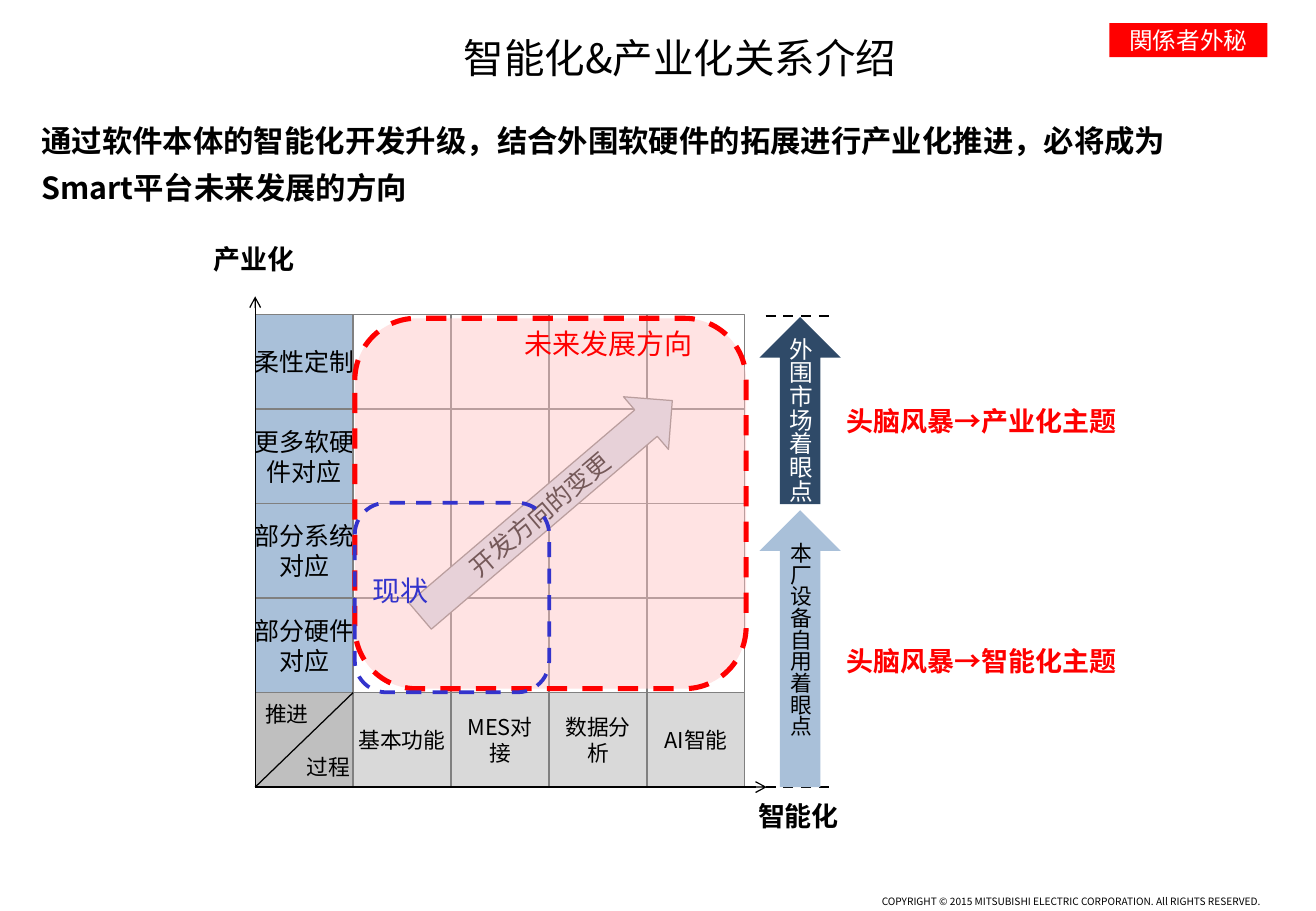
from lxml import etree
from pptx import Presentation
from pptx.dml.color import RGBColor
from pptx.enum.dml import MSO_LINE
from pptx.enum.shapes import MSO_CONNECTOR, MSO_SHAPE as Kind
from pptx.enum.text import MSO_ANCHOR as Anchor, MSO_AUTO_SIZE as Fit, PP_ALIGN as Align
from pptx.oxml.ns import qn
from pptx.util import Inches, Pt

# Content
SC, JP = "Noto Sans CJK SC", "Noto Sans CJK JP"
TITLE = "智能化&产业化关系介绍"
LEAD = "通过软件本体的智能化开发升级，结合外围软硬件的拓展进行产业化推进，必将成为\nSmart平台未来发展的方向"
SECRET = "関係者外秘"
RIGHTS = "COPYRIGHT © 2015 MITSUBISHI ELECTRIC CORPORATION. All RIGHTS RESERVED."
ROWS = ["柔性定制", "更多软硬\n件对应", "部分系统\n对应", "部分硬件\n对应"]
COLS = ["基本功能", "MES对接", "数据分析", "AI智能"]

# Matrix edges
LEFT, TOP, RIGHT, BASE = 2.1, 2.59, 6.13, 6.48
WIDE = (RIGHT - LEFT) / (len(COLS) + 1)
HIGH = (BASE - TOP) / (len(ROWS) + 1)

# Text labels: text, box, format
CORNER = [("推进", (2.06, 5.71, 0.6, 0.33)), ("过程", (2.5, 6.15, 0.41, 0.33))]
AXES = [("智能化", (6.14, 6.53, 0.88, 0.37)), ("产业化", (1.66, 1.95, 0.88, 0.37))]
THEMES = [("头脑风暴→智能化主题", (6.93, 4.94, 1, 1)),
          ("头脑风暴→产业化主题", (6.93, 2.96, 1, 1))]
# Zones: label, label box, frame box, colour, line width, fill
ZONES = [
    ("未来发展方向", (4.21, 2.64, 1.6, 0.38), (2.92, 2.62, 3.22, 3.05), "FF0000", 3, "FFC2C2"),
    ("现状", (2.96, 4.67, 0.67, 0.38), (2.92, 4.14, 1.6, 1.56), "3333CC", 2.25, None),
]
# Viewpoint arrows: text, box, fill, text colour, size, inset
VIEWS = [
    ("外围市场着眼点", (6.25, 2.61, 0.67, 1.54), "2F4A68", "FFFFFF", 14, (0, 0)),
    ("本厂设备自用着眼点", (6.25, 4.2, 0.67, 2.28), "A9C0D9", "000000", 12.9, (0.1, 0.05)),
]

deck = Presentation()
deck.slide_width, deck.slide_height = Inches(10.83), Inches(7.5)
slide = deck.slides.add_slide(deck.slide_layouts[5])
shapes = slide.shapes


def rgb(code):
    return RGBColor.from_string(code)


def write(shape, text, size=14.8, color="000000", bold=False, font=SC, align=Align.CENTER,
          anchor=Anchor.MIDDLE, wrap=False, inset=(0.1, 0.05), gap=0):
    frame = shape.text_frame
    frame.auto_size, frame.word_wrap = Fit.NONE, wrap
    frame.vertical_anchor = anchor
    frame.margin_left = frame.margin_right = Inches(inset[0])
    frame.margin_top = frame.margin_bottom = Inches(inset[1])
    for i, line in enumerate(text.split("\n")):
        para = frame.add_paragraph() if i else frame.paragraphs[0]
        para.alignment = align
        para.space_before = Pt(gap if i else 0)
        run = para.add_run()
        run.text = line
        run.font.size, run.font.bold, run.font.name = Pt(size), bold, font
        run.font.color.rgb = rgb(color)
        east = etree.SubElement(run.font._element, qn("a:ea"))
        east.set("typeface", font)


def label(text, box, **style):
    write(shapes.add_textbox(*map(Inches, box)), text, **style)


def draw(kind, box, fill=None, line=None, width=0.75, dash=False):
    shape = shapes.add_shape(kind, *map(Inches, box))
    shape.shadow.inherit = False
    if fill:
        shape.fill.solid()
        shape.fill.fore_color.rgb = rgb(fill)
    else:
        shape.fill.background()
    if line:
        shape.line.color.rgb = rgb(line)
        shape.line.width = Pt(width)
        if dash:
            shape.line.dash_style = MSO_LINE.DASH
    else:
        shape.line.fill.background()
    return shape


def link(start, end, width=0.75, arrow=False, dash=False):
    wire = shapes.add_connector(MSO_CONNECTOR.STRAIGHT, *map(Inches, start + end))
    wire.line.color.rgb = rgb("000000")
    wire.line.width = Pt(width)
    if dash:
        wire.line.dash_style = MSO_LINE.DASH
    if arrow:
        tip = etree.SubElement(wire.line._get_or_add_ln(), qn("a:tailEnd"))
        tip.set("type", "arrow")
    etree.SubElement(wire._element.spPr, qn("a:effectLst"))


# Title, lead, mark and footer
title = shapes.title
title.left, title.top, title.width, title.height = map(Inches, (2.9, 0.22, 5.39, 0.5))
write(title, TITLE, size=24, anchor=Anchor.TOP, wrap=True)
label(LEAD, (0.3, 0.85, 9.98, 1), size=18, bold=True, align=Align.LEFT,
      inset=(0.04, 0.04), gap=6)
write(draw(Kind.RECTANGLE, (9.13, 0.19, 1.3, 0.28), "FF0000"), SECRET,
      size=14, color="FFFFFF", font=JP)
label(RIGHTS, (4.44, 7.35, 5.93, 0.12), size=6, font=JP, align=Align.RIGHT,
      anchor=Anchor.BOTTOM, wrap=True, inset=(0, 0))

# Matrix: row heads on the left, column heads at the bottom
for r, row in enumerate(ROWS + [""]):
    for c, col in enumerate([""] + COLS):
        box = (LEFT + c * WIDE, TOP + r * HIGH, WIDE, HIGH)
        foot = r == len(ROWS)
        if foot:
            fill = "D9D9D9" if c else "BFBFBF"
        else:
            fill = None if c else "A9C0D9"
        cell = draw(Kind.RECTANGLE, box, fill, "808080")
        if foot and c:
            write(cell, col, size=12.9, wrap=c > 1)
        elif row and not c:
            write(cell, row)

# Axes and corner cell
link((LEFT, BASE), (6.31, BASE), arrow=True)
link((LEFT, BASE), (LEFT, 2.44), arrow=True)
link((LEFT + WIDE, BASE - HIGH), (LEFT, BASE))
for text, box in CORNER:
    label(text, box, size=12.9, inset=(0.04, 0.04))

# Direction of change
change = draw(Kind.RIGHT_ARROW, (3.13, 3.9, 2.73, 0.57), "D4DFEC", "808080")
change.rotation = 319.5
write(change, "开发方向的变更", wrap=True)

# Future and present zones
for text, spot, box, color, width, fill in ZONES:
    zone = draw(Kind.ROUNDED_RECTANGLE, box, fill, color, width, dash=True)
    if fill:
        tint = zone._element.spPr.find(qn("a:solidFill"))[0]
        etree.SubElement(tint, qn("a:alpha")).set("val", "46000")
    label(text, spot, size=16.6, color=color, anchor=Anchor.TOP)

# Viewpoint arrows between dashed limits
for y in (BASE, 2.6):
    link((6.3, y), (6.85, y), width=1.5, dash=True)
for text, box, fill, color, size, inset in VIEWS:
    view = draw(Kind.UP_ARROW, box, fill)
    write(view, text, size=size, color=color, wrap=True, inset=inset)
    view.text_frame._txBody.bodyPr.set("vert", "eaVert")

# Axis names and themes
for text, box in AXES:
    label(text, box, size=16, bold=True, align=Align.LEFT, anchor=Anchor.TOP)
for text, box in THEMES:
    label(text, box, size=16, color="FF0000", bold=True, align=Align.LEFT, inset=(0.04, 0.04))

deck.save("out.pptx")
